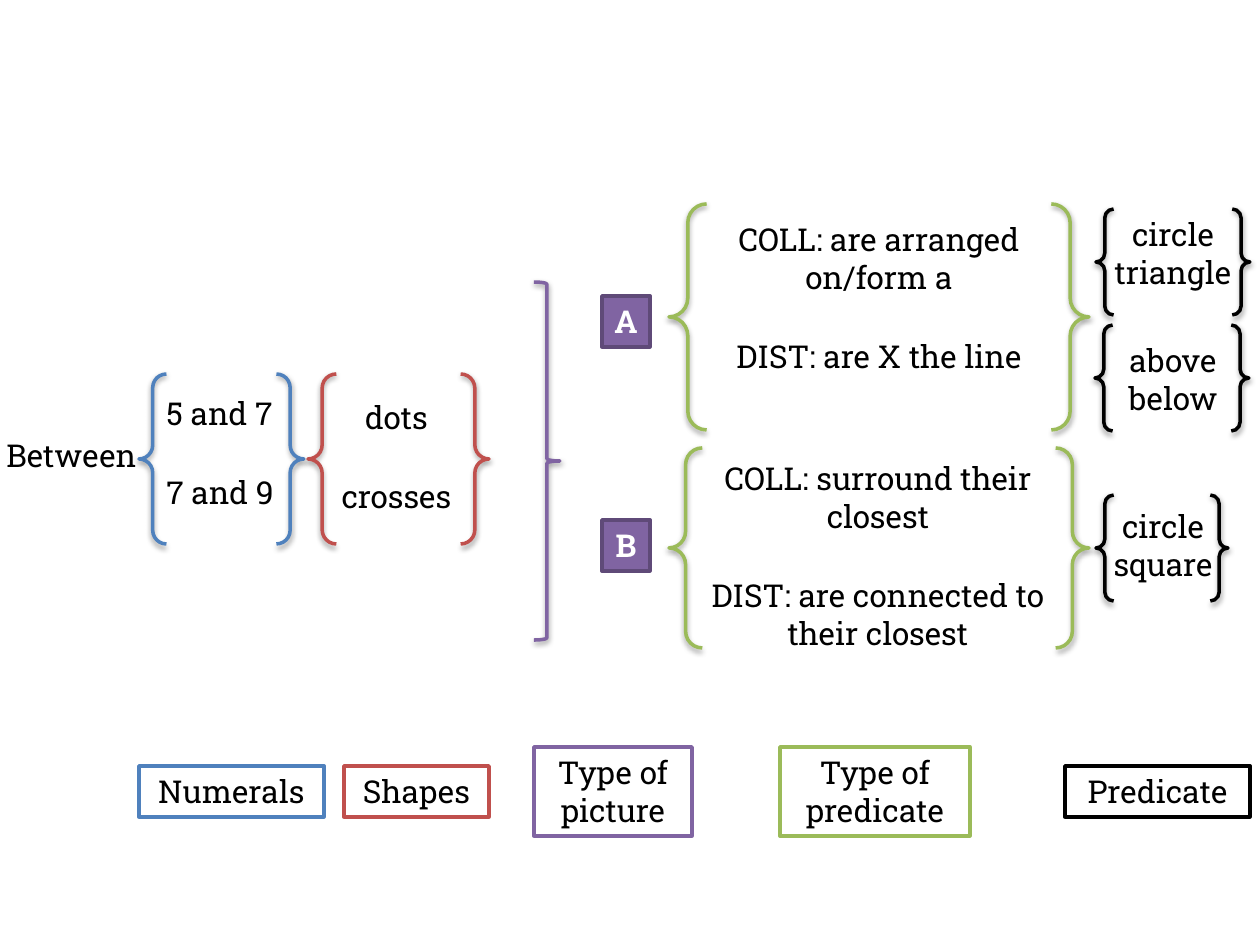
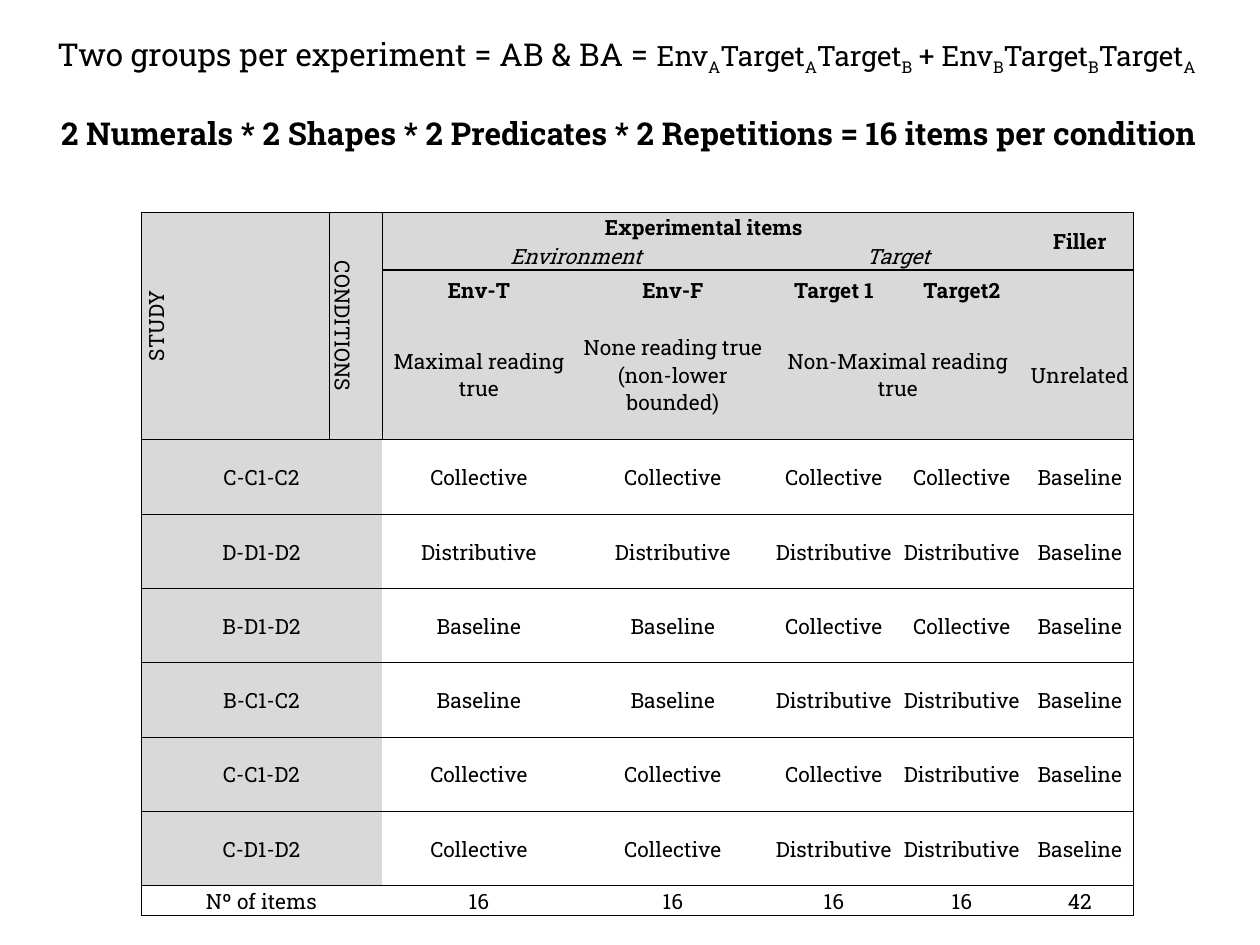
"""Build two slides on an experiment: how its sentences are composed, and its table of conditions."""
from lxml import etree
from pptx import Presentation
from pptx.dml.color import RGBColor
from pptx.enum.shapes import MSO_SHAPE
from pptx.enum.text import MSO_ANCHOR, PP_ALIGN
from pptx.oxml.ns import qn
from pptx.util import Pt

LEFT, CENTER = PP_ALIGN.LEFT, PP_ALIGN.CENTER
TOP, MIDDLE = MSO_ANCHOR.TOP, MSO_ANCHOR.MIDDLE
RECT, PAIR, BRACE = MSO_SHAPE.RECTANGLE, MSO_SHAPE.DOUBLE_BRACE, MSO_SHAPE.RIGHT_BRACE

PIXEL = 914400 / 126
FONT = "Roboto Slab"
NO_STYLE = "{2D5ABB26-0587-4C30-8999-92F81FD0307C}"
COLORS = {
    "black": "000000", "white": "FFFFFF", "blue": "4F81BD", "red": "C0504D",
    "green": "9BBB59", "purple": "8064A2", "plum": "5F4A78", "gray": "D9D9D9",
}

WORDS = [
    ((-6, 430, 165, 50), LEFT, 0, ["Between"]),
    ((154, 388, 137, 127), LEFT, 23.7, ["5 and 7", "7 and 9"]),
    ((326, 392, 141, 127), CENTER, 23.7, ["dots", "crosses"]),
    ((693, 214, 372, 165), CENTER, 23.7, ["COLL: are arranged on/form a", "DIST: are X the line"]),
    ((677, 453, 402, 204), CENTER, 23.7,
     ["COLL: surround their closest", "DIST: are connected to their closest"]),
    ((1096, 209, 154, 89), CENTER, 0, ["circle", "triangle"]),
    ((1105, 335, 136, 89), CENTER, 0, ["above", "below"]),
    ((1095, 501, 136, 89), CENTER, 0, ["circle", "square"]),
]
BRACES = [
    (PAIR, (139, 374, 165, 170), "blue"),
    (PAIR, (308, 374, 181, 170), "red"),
    (PAIR, (669, 204, 420, 226), "green"),
    (PAIR, (669, 448, 420, 200), "green"),
    (PAIR, (1096, 209, 154, 106), "black"),
    (PAIR, (1095, 325, 154, 106), "black"),
    (PAIR, (1096, 495, 132, 106), "black"),
    (BRACE, (534, 282, 26, 358), "purple"),
]
PICTURE_TYPES = [("A", 296), ("B", 520)]
LABELS = [
    ("Numerals", (139, 766, 185, 51), "blue"),
    ("Shapes", (344, 766, 145, 51), "red"),
    ("Type of picture", (534, 747, 158, 89), "purple"),
    ("Type of predicate", (780, 747, 190, 89), "green"),
    ("Predicate", (1065, 766, 185, 51), "black"),
]

GROUPS = [
    ("Env", 0), ("A", -25), ("Target", 0), ("A", -25), ("Target", 0), ("B", -25),
    (" + Env", 0), ("B", -25), ("Target", 0), ("B", -25), ("Target", 0), ("A", -25),
]
COLUMN_WIDTHS = [188, 53, 194, 194, 128, 128, 108]
ROW_HEIGHTS = [29, 29, 33, 128] + [446 / 6] * 6 + [30]
HEADER_ROWS = 4
C, D, B = "Collective", "Distributive", "Baseline"
ROWS = [
    ["STUDY", "CONDITIONS", "Experimental items", "", "", "", "Filler"],
    ["", "", "Environment", "", "Target", "", ""],
    ["", "", "Env-T", "Env-F", "Target 1", "Target2", ""],
    ["", "", "Maximal reading true", "None reading true (non-lower bounded)",
     "Non-Maximal reading true", "", "Unrelated"],
    ["C-C1-C2", "", C, C, C, C, B],
    ["D-D1-D2", "", D, D, D, D, B],
    ["B-D1-D2", "", B, B, C, C, B],
    ["B-C1-C2", "", B, B, D, D, B],
    ["C-C1-D2", "", C, C, C, D, B],
    ["C-D1-D2", "", C, C, D, D, B],
    ["Nº of items", "", "16", "16", "16", "16", "42"],
]
MERGES = [((0, 0), (3, 0)), ((0, 1), (3, 1)), ((0, 2), (0, 5)), ((0, 6), (1, 6)),
          ((1, 2), (1, 3)), ((1, 4), (1, 5)), ((3, 4), (3, 5))]
MERGES += [((row, 0), (row, 1)) for row in range(HEADER_ROWS, len(ROWS))]


def px(value):
    return round(value * PIXEL)


def color(name):
    return RGBColor.from_string(COLORS[name])


def add_span(para, text, size=18, ink="black", bold=False, italic=False, base=0):
    span = para.add_run()
    span.text = text
    font = span.font
    font.name, font.size, font.bold, font.italic = FONT, Pt(size), bold, italic
    font.color.rgb = color(ink)
    if base:
        span._r.get_or_add_rPr().set("baseline", str(base * 1000))


def add_words(page, area, align, gap, lines):
    frame = page.shapes.add_textbox(*map(px, area)).text_frame
    frame.word_wrap = True
    for index, line in enumerate(lines):
        para = frame.add_paragraph() if index else frame.paragraphs[0]
        para.alignment = align
        para.space_before = Pt(gap if index else 0)
        add_span(para, line)


def add_outline(page, kind, area, line, fill=None):
    shape = page.shapes.add_shape(kind, *map(px, area))
    shape.shadow.inherit = False
    shape.line.color.rgb = color(line)
    shape.line.width = Pt(2)
    if fill:
        shape.fill.solid()
        shape.fill.fore_color.rgb = color(fill)
    else:
        shape.fill.background()
    return shape


def add_brace(page, kind, area, line):
    effects = add_outline(page, kind, area, line)._element.spPr.find(qn("a:effectLst"))
    shadow = etree.SubElement(effects, qn("a:outerShdw"), blurRad="40000", dist="20000",
                              dir="5400000", rotWithShape="0")
    ink = etree.SubElement(shadow, qn("a:srgbClr"), val=COLORS["black"])
    etree.SubElement(ink, qn("a:alpha"), val="38000")


def add_label(page, text, area, line, fill="white", ink="black", bold=False, wrap=True):
    frame = add_outline(page, RECT, area, line, fill).text_frame
    frame.word_wrap = wrap
    frame.vertical_anchor = TOP
    para = frame.paragraphs[0]
    para.alignment = CENTER
    add_span(para, text, ink=ink, bold=bold)


def cell_borders(row, column):
    """Give the border widths of a cell in points, by side."""
    header, last = row < HEADER_ROWS, len(COLUMN_WIDTHS) - 1
    split = column >= 2
    top = 0.5 if row == 0 or not header else 1 if row == 2 and split else 0
    bottom = 0.5 if row >= HEADER_ROWS - 1 else 1 if row == 1 and split else 0
    left = 0.5 if column == 0 or header and column <= 2 else 0
    right = 0.5 if column == last or header and column <= 1 else 0
    return {"lnL": left, "lnR": right, "lnT": top, "lnB": bottom}


def style_cell(cell, row, column):
    cell.margin_left = cell.margin_right = cell.margin_top = px(1)
    cell.margin_bottom = 0
    cell.vertical_anchor = MIDDLE
    props = cell._tc.get_or_add_tcPr()
    if row == 0 and column < 2:
        props.set("vert", ("vert270", "vert")[column])
    for side, width in cell_borders(row, column).items():
        edge = etree.SubElement(props, qn("a:" + side), w=str(Pt(width)))
        if width:
            paint = etree.SubElement(edge, qn("a:solidFill"))
            etree.SubElement(paint, qn("a:srgbClr"), val=COLORS["black"])
        else:
            etree.SubElement(edge, qn("a:noFill"))
    if row < HEADER_ROWS or column < 2 and row < len(ROWS) - 1:
        cell.fill.solid()
        cell.fill.fore_color.rgb = color("gray")
    else:
        cell.fill.background()


def build_composition(page):
    for words in WORDS:
        add_words(page, *words)
    for brace in BRACES:
        add_brace(page, *brace)
    for letter, top in PICTURE_TYPES:
        add_label(page, letter, (602, top, 48, 51), "plum", "purple", "white", True, False)
    for label in LABELS:
        add_label(page, *label)


def build_conditions(page):
    frame = page.shapes.add_textbox(*map(px, (45, 29, 1186, 161))).text_frame
    frame.word_wrap = True
    para = frame.paragraphs[0]
    add_span(para, "Two groups per experiment = AB & BA = ")
    for text, base in GROUPS:
        add_span(para, text, 16, base=base)
    para = frame.add_paragraph()
    para.alignment = CENTER
    para.space_before = Pt(21)
    para._p.get_or_add_pPr().set("marR", str(px(18)))
    add_span(para, "2 Numerals * 2 Shapes * 2 Predicates * 2 Repetitions = 16 items per condition",
             bold=True)

    area = (141, 212, sum(COLUMN_WIDTHS), sum(ROW_HEIGHTS))
    table = page.shapes.add_table(len(ROWS), len(COLUMN_WIDTHS), *map(px, area)).table
    table.first_row = table.horz_banding = False
    table._tbl.tblPr.find(qn("a:tableStyleId")).text = NO_STYLE
    for column, width in zip(table.columns, COLUMN_WIDTHS):
        column.width = px(width)
    for row, height in zip(table.rows, ROW_HEIGHTS):
        row.height = px(height)
    for first, final in MERGES:
        table.cell(*first).merge(table.cell(*final))
    for row, texts in enumerate(ROWS):
        for column, text in enumerate(texts):
            cell = table.cell(row, column)
            style_cell(cell, row, column)
            para = cell.text_frame.paragraphs[0]
            para.alignment = CENTER
            add_span(para, text, 12, bold=row in (0, 2) and column >= 2, italic=row == 1)


deck = Presentation()
deck.slide_width, deck.slide_height = px(1260), px(945)
for build in (build_composition, build_conditions):
    build(deck.slides.add_slide(deck.slide_layouts[6]))
deck.save("out.pptx")
